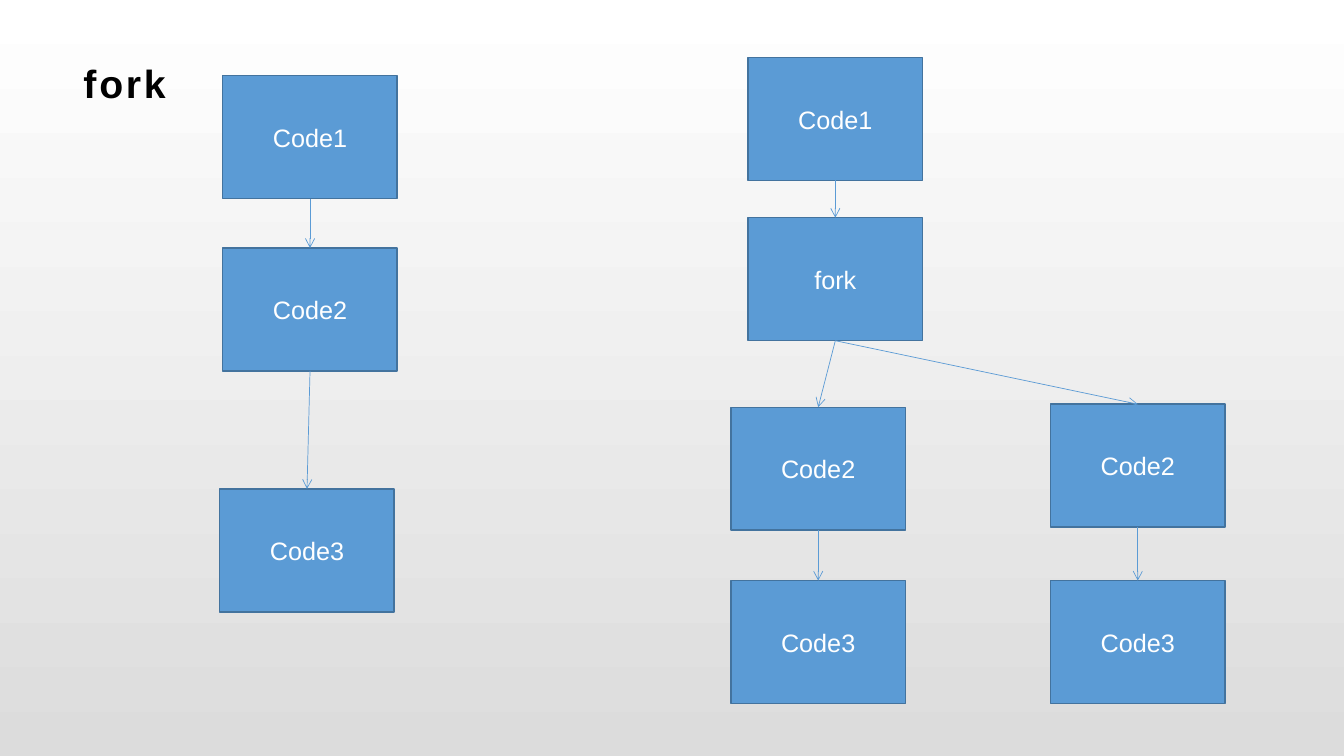
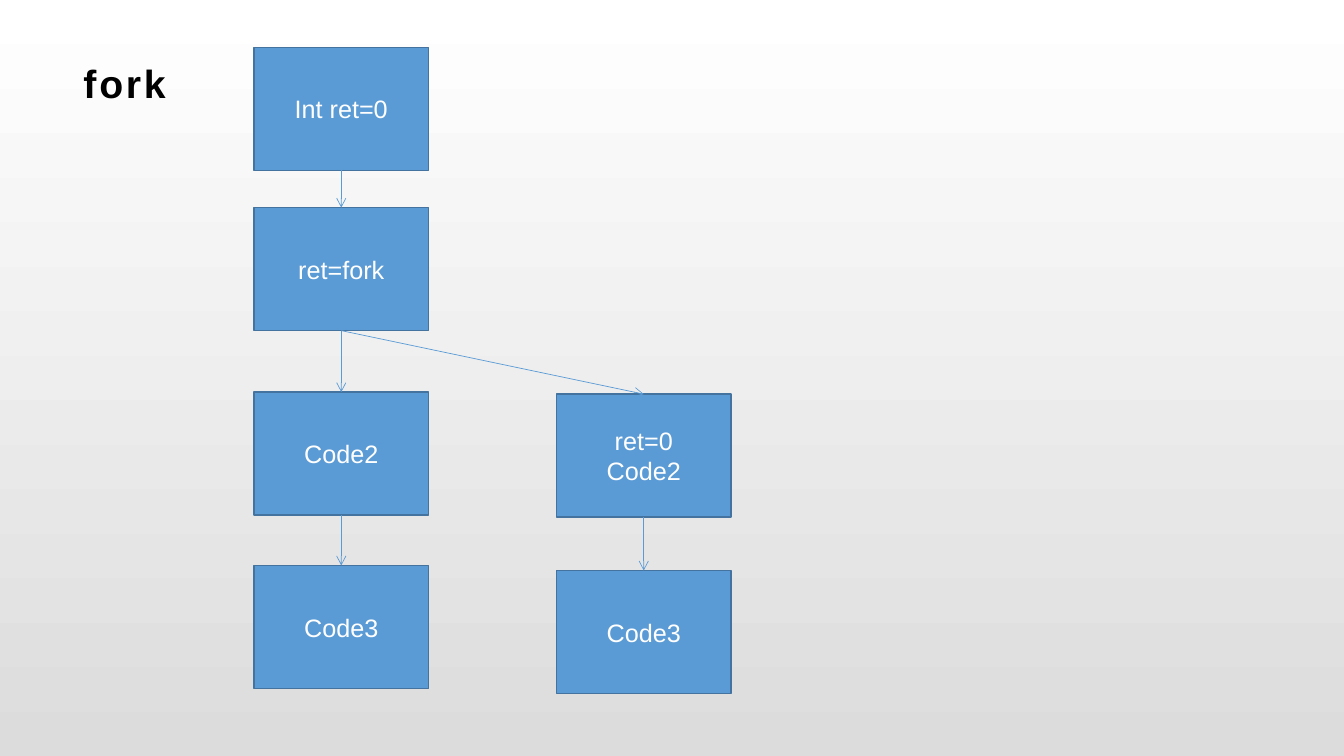
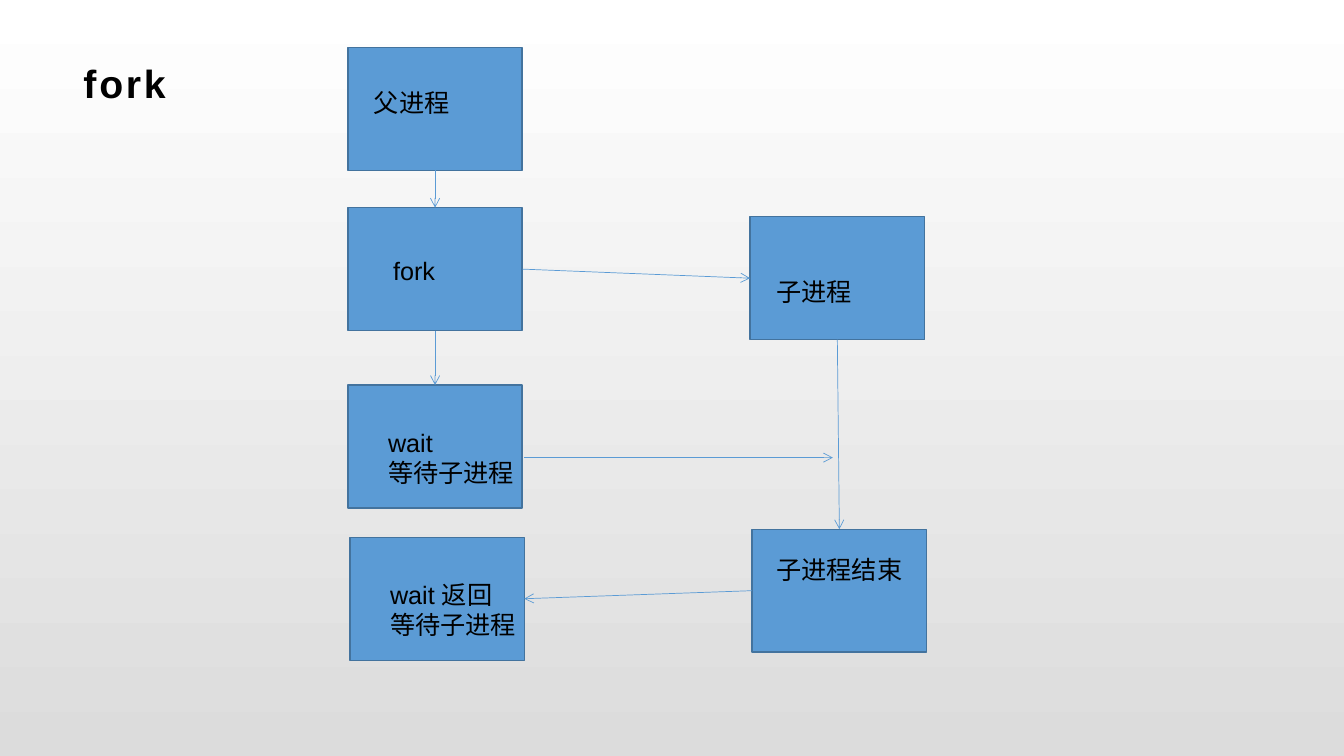
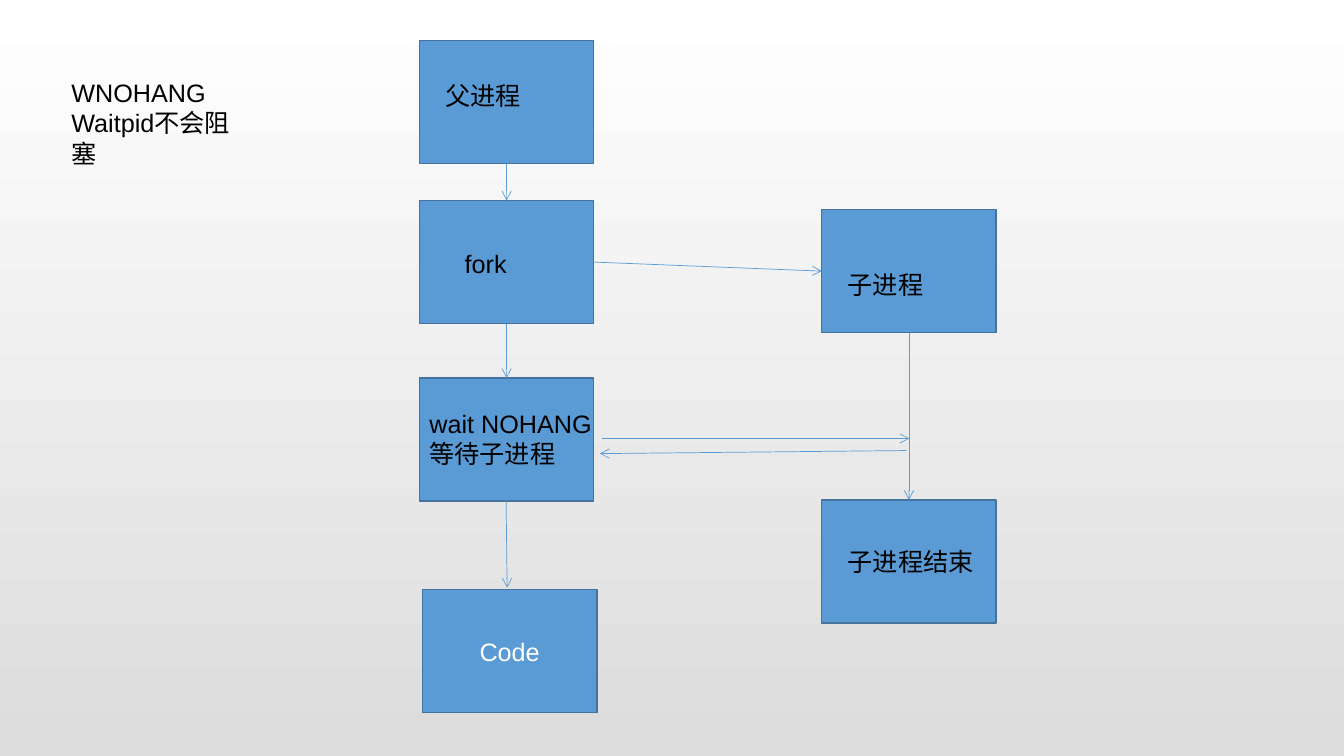
from lxml import etree
from pptx import Presentation
from pptx.dml.color import RGBColor
from pptx.enum.shapes import MSO_CONNECTOR, MSO_SHAPE
from pptx.enum.text import MSO_ANCHOR, PP_ALIGN
from pptx.oxml.ns import qn
from pptx.util import Inches, Pt

RECTANGLE = MSO_SHAPE.RECTANGLE
STRAIGHT = MSO_CONNECTOR.STRAIGHT
MIDDLE, TOP_ANCHOR = MSO_ANCHOR.MIDDLE, MSO_ANCHOR.TOP
LEFT_ALIGN, CENTER = PP_ALIGN.LEFT, PP_ALIGN.CENTER

COLORS = {
    "box": "5B9BD5", "border": "43739E", "arrow": "5B9BD5",
    "light": "FFFFFF", "dark": "000000",
    "background_top": "FFFFFF", "background_bottom": "DCDCDC",
}
FONT = "Arial"
SLIDE_WIDTH, SLIDE_HEIGHT = 13.33, 7.5
BOX_WIDTH, BOX_HEIGHT = 1.73, 1.22
FORK_STEP = 1.59  # from the first box of a flow down to its fork
ONE_LINE, TWO_LINES = 0.4, 0.71  # heights of labels

# Connection sites of a rectangle
TOP, LEFT, BOTTOM, RIGHT = range(4)


def color(name):
    return RGBColor.from_string(COLORS[name])


def write_text(shape, text, size=18, ink="dark", bold=False, spacing=0,
               align=LEFT_ALIGN, anchor=TOP_ANCHOR, wrap=True):
    """Fill a shape with text, one paragraph per line."""
    frame = shape.text_frame
    frame.word_wrap = wrap
    frame.vertical_anchor = anchor
    frame.text = text
    for paragraph in frame.paragraphs:
        paragraph.alignment = align
        for run in paragraph.runs:
            run.font.name = FONT
            run.font.size = Pt(size)
            run.font.bold = bold
            run.font.color.rgb = color(ink)
            if spacing:
                run.font._element.set("spc", str(spacing * 100))


def add_label(slide, text, left, top, width, height=ONE_LINE, **text_format):
    shape = slide.shapes.add_textbox(
        Inches(left), Inches(top), Inches(width), Inches(height))
    write_text(shape, text, **text_format)
    return shape


def add_title(slide, text):
    add_label(slide, text, 0.73, 0.47, 11.87, 0.71,
              size=28, bold=True, spacing=2, anchor=MIDDLE)


def add_box(slide, left, top, text=""):
    shape = slide.shapes.add_shape(
        RECTANGLE, Inches(left), Inches(top),
        Inches(BOX_WIDTH), Inches(BOX_HEIGHT))
    shape.shadow.inherit = False
    shape.fill.solid()
    shape.fill.fore_color.rgb = color("box")
    shape.line.color.rgb = color("border")
    shape.line.width = Pt(1)
    if text:
        write_text(shape, text, ink="light", align=CENTER, anchor=MIDDLE)
    return shape


def add_arrow(slide, start=(0, 0), end=(0, 0)):
    connector = slide.shapes.add_connector(
        STRAIGHT, *(Inches(value) for value in (*start, *end)))
    connector.line.color.rgb = color("arrow")
    connector.line.width = Pt(0.5)
    line = connector.line._get_or_add_ln()
    etree.SubElement(line, qn("a:tailEnd"), type="arrow")
    etree.SubElement(connector._element.spPr, qn("a:effectLst"))
    return connector


def link(slide, source, target, source_site=BOTTOM, target_site=TOP):
    connector = add_arrow(slide)
    connector.begin_connect(source, source_site)
    connector.end_connect(target, target_site)


def add_flow(slide, boxes, links):
    """Draw boxes (name: text, left, top), then arrows between the names."""
    shapes = {name: add_box(slide, left, top, text)
              for name, (text, left, top) in boxes.items()}
    for source, target in links:
        link(slide, shapes[source], shapes[target])


def add_process_flow(slide, left, top, end_offset):
    """Draw parent, fork, wait and child; return the wait and end boxes."""
    child_left = left + 3.99
    parent = add_box(slide, left, top)
    fork = add_box(slide, left, top + FORK_STEP)
    wait = add_box(slide, left, top + 3.35)
    child = add_box(slide, child_left, top + 1.68)
    end = add_box(slide, left + end_offset[0], top + end_offset[1])
    link(slide, parent, fork)
    link(slide, fork, wait)
    link(slide, fork, child, RIGHT, LEFT)
    link(slide, child, end)
    add_label(slide, "父进程", left + 0.16, top + 0.35, 0.95, wrap=False)
    add_label(slide, "fork", left + 0.35, top + 2.01, 0.62, wrap=False)
    add_label(slide, "子进程", child_left + 0.16, top + 2.22, 0.95, wrap=False)
    return wait, end


def build_fork_comparison(slide):
    add_title(slide, "fork")
    # Without fork
    add_flow(slide, {
        "first": ("Code1", 2.21, 0.75),
        "second": ("Code2", 2.21, 2.46),
        "third": ("Code3", 2.18, 4.85),
    }, [("first", "second"), ("second", "third")])
    # With fork
    start, parent, child = 7.42, 7.25, 10.42
    add_flow(slide, {
        "first": ("Code1", start, 0.57),
        "fork": ("fork", start, 0.57 + FORK_STEP),
        "parent second": ("Code2", parent, 4.04),
        "child second": ("Code2", child, 4.01),
        "parent third": ("Code3", parent, 5.76),
        "child third": ("Code3", child, 5.76),
    }, FORK_LINKS)


FORK_LINKS = [
    ("first", "fork"), ("fork", "parent second"), ("fork", "child second"),
    ("parent second", "parent third"), ("child second", "child third"),
]


def build_return_value(slide):
    add_title(slide, "fork")
    parent, child = 2.52, 5.52
    add_flow(slide, {
        "first": ("Int ret=0", parent, 0.47),
        "fork": ("ret=fork", parent, 0.47 + FORK_STEP),
        "parent second": ("Code2", parent, 3.89),
        "child second": ("ret=0\nCode2", child, 3.91),
        "parent third": ("Code3", parent, 5.61),
        "child third": ("Code3", child, 5.66),
    }, FORK_LINKS)


def build_blocking_wait(slide):
    add_title(slide, "fork")
    end = add_process_flow(slide, 3.45, 0.47, (4.01, 4.78))[1]
    returned = add_box(slide, 3.47, 5.33)
    link(slide, end, returned, LEFT, RIGHT)
    add_arrow(slide, (5.2, 4.54), (8.26, 4.54))
    add_label(slide, "子进程结束", 7.6, 5.45, 1.45, wrap=False)
    add_label(slide, "wait\n等待子进程", 3.75, 4.19, 1.45, TWO_LINES,
              wrap=False)
    add_label(slide, "wait 返回\n等待子进程", 3.77, 5.7, 1.45, TWO_LINES,
              wrap=False)


def build_non_blocking_wait(slide):
    add_label(slide, "WNOHANG\nWaitpid不会阻塞", 0.61, 0.72, 1.84, TWO_LINES)
    add_process_flow(slide, 4.16, 0.4, (3.99, 4.56))
    add_box(slide, 4.19, 5.85, "Code")
    add_arrow(slide, (5.02, 4.96), (5.03, 5.83))
    # Question to the child and immediate answer
    add_arrow(slide, (5.97, 4.35), (9.02, 4.35))
    add_arrow(slide, (8.99, 4.47), (5.95, 4.5))
    add_label(slide, "子进程结束", 8.31, 5.37, 1.45, wrap=False)
    add_label(slide, "wait NOHANG\n等待子进程", 4.16, 4, 1.81, TWO_LINES,
              wrap=False)


def set_background(master):
    fill = master.background.fill
    fill.gradient()
    fill.gradient_angle = 270
    for stop, name in zip(fill.gradient_stops,
                          ("background_top", "background_bottom")):
        stop.color.rgb = color(name)


def main():
    presentation = Presentation()
    presentation.slide_width = Inches(SLIDE_WIDTH)
    presentation.slide_height = Inches(SLIDE_HEIGHT)
    set_background(presentation.slide_master)
    blank = presentation.slide_layouts[6]
    for build in (build_fork_comparison, build_return_value,
                  build_blocking_wait, build_non_blocking_wait):
        build(presentation.slides.add_slide(blank))
    presentation.save("out.pptx")


if __name__ == "__main__":
    main()
